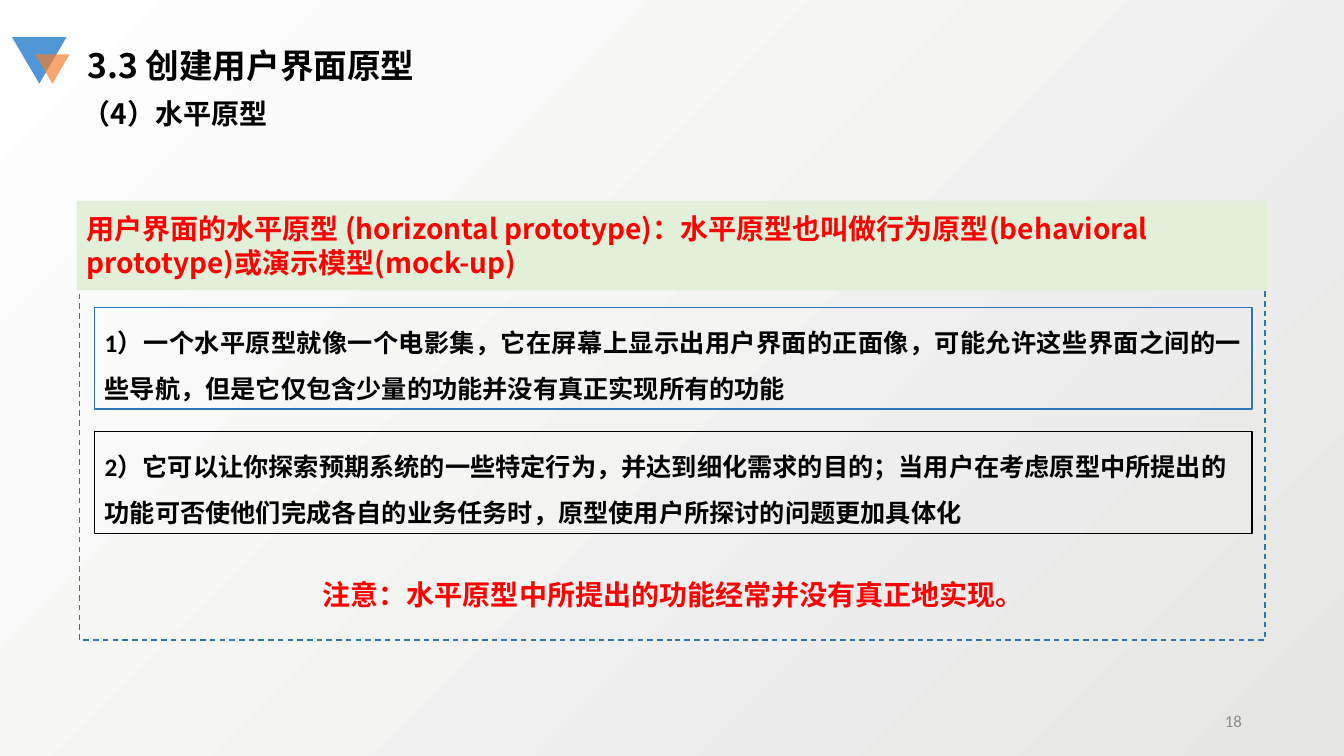
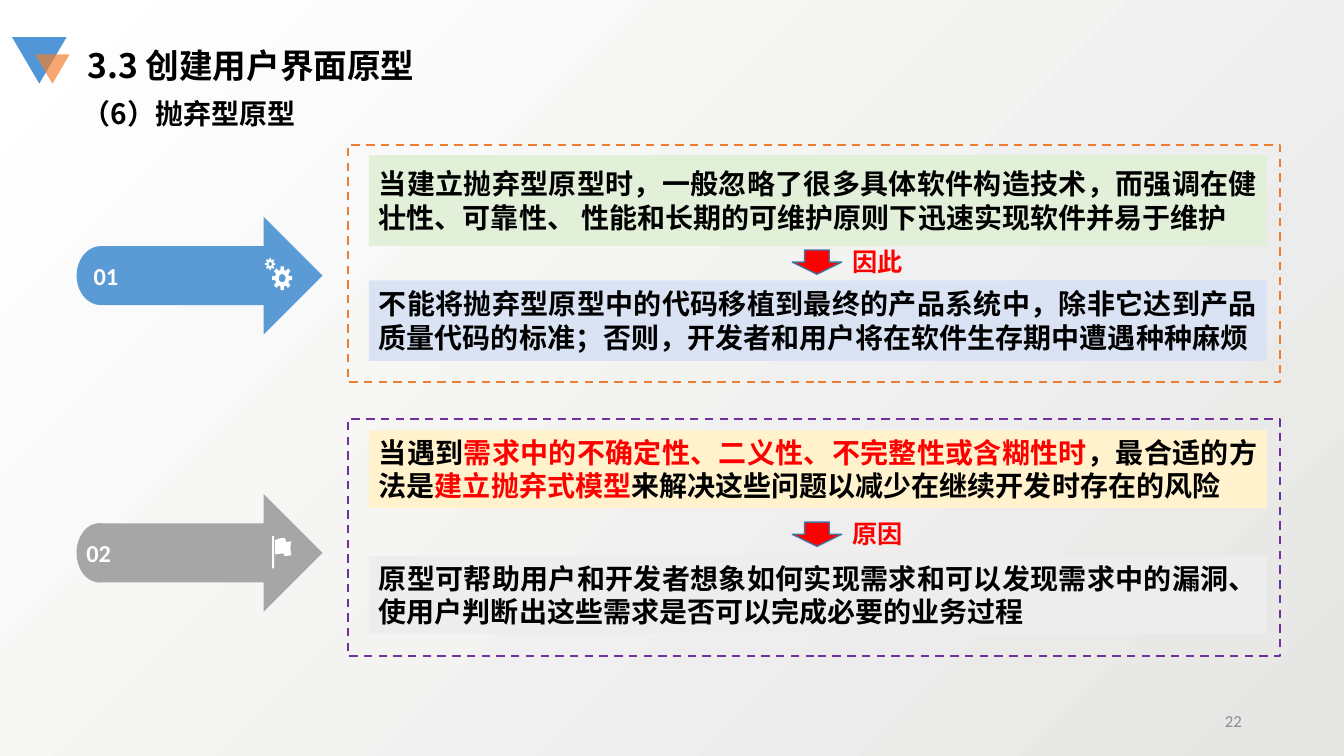
import math

from lxml import etree
from pptx import Presentation
from pptx.dml.color import RGBColor
from pptx.enum import dml, shapes, text
from pptx.oxml.ns import qn
from pptx.util import Pt

# Shared colours and fonts
BLACK = RGBColor(0x00, 0x00, 0x00)
WHITE = RGBColor(0xFF, 0xFF, 0xFF)
RED = RGBColor(0xFF, 0x00, 0x00)
BACK_DARK = RGBColor(0xE6, 0xE6, 0xE5)
MARK_BLUE = RGBColor(0x51, 0x97, 0xD7)
MARK_ORANGE = RGBColor(0xF3, 0x7D, 0x2A)
PAGE_GREY = RGBColor(0x8C, 0x8C, 0x8C)
LINE_BLUE = RGBColor(0x2E, 0x75, 0xB6)
EDGE_BLUE = RGBColor(0x43, 0x73, 0x9E)
ARROW_BLUE = RGBColor(0x5B, 0x9B, 0xD5)
ARROW_GREY = RGBColor(0xA6, 0xA6, 0xA6)
GREEN = RGBColor(0xE2, 0xF0, 0xD9)
PALE_BLUE = RGBColor(0xDA, 0xE3, 0xF3)
CREAM = RGBColor(0xFF, 0xF2, 0xCC)
PALE_GREY = RGBColor(0xED, 0xED, 0xED)
ORANGE = RGBColor(0xED, 0x7D, 0x31)
PURPLE = RGBColor(0x70, 0x30, 0xA0)
LATIN, CJK = "Calibri", "Noto Sans CJK SC"

SHAPE = shapes.MSO_SHAPE
LEFT, CENTER = text.PP_ALIGN.LEFT, text.PP_ALIGN.CENTER
RIGHT, JUSTIFY = text.PP_ALIGN.RIGHT, text.PP_ALIGN.JUSTIFY
TOP, MIDDLE = text.MSO_ANCHOR.TOP, text.MSO_ANCHOR.MIDDLE

# Content: horizontal prototype
TITLE = "3.3 创建用户界面原型"
DEFINITION = ("用户界面的水平原型 (horizontal prototype)：水平原型也叫做行为原型"
              "(behavioral prototype)或演示模型(mock-up)")
POINTS = [
    ("1）一个水平原型就像一个电影集，它在屏幕上显示出用户界面的正面像，可能允许这些界面"
     "之间的一些导航，但是它仅包含少量的功能并没有真正实现所有的功能", LINE_BLUE, JUSTIFY),
    ("2）它可以让你探索预期系统的一些特定行为，并达到细化需求的目的；当用户在考虑原型中所"
     "提出的功能可否使他们完成各自的业务任务时，原型使用户所探讨的问题更加具体化", BLACK, LEFT),
]
NOTE = "注意：水平原型中所提出的功能经常并没有真正地实现。"

# Content: throwaway prototype; each text box is (top, height, fill, anchor, runs)
PANELS = [
    dict(number="01", color=ARROW_BLUE, arrow=(73.4, 154.8), cap=34.6, align=LEFT,
         frame_top=103.7, frame=ORANGE, link="因此", link_top=178.6, boxes=[
             (110.9, 64.8, GREEN, MIDDLE,
              [("当建立抛弃型原型时，一般忽略了很多具体软件构造技术，而强调在健壮性、可靠性、 "
                "性能和长期的可维护原则下迅速实现软件并易于维护", BLACK)]),
             (200.2, 57.6, PALE_BLUE, MIDDLE,
              [("不能将抛弃型原型中的代码移植到最终的产品系统中，除非它达到产品质量代码的标准；"
                "否则，开发者和用户将在软件生存期中遭遇种种麻烦", BLACK)])]),
    dict(number="02", color=ARROW_GREY, arrow=(69.1, 352.8), cap=31.7, align=CENTER,
         frame_top=299.5, frame=PURPLE, link="原因", link_top=373, boxes=[
             (307.4, 55.4, CREAM, TOP,
              [("当遇到", BLACK), ("需求中的不确定性、二义性、不完整性或含糊性时", RED),
               ("，最合适的方法是", BLACK), ("建立抛弃式模型", RED),
               ("来解决这些问题以减少在继续开发时存在的风险", BLACK)]),
             (397.4, 55.4, PALE_GREY, TOP,
              [("原型可帮助用户和开发者想象如何实现需求和可以发现需求中的漏洞、"
                "使用户判断出这些需求是否可以完成必要的业务过程", BLACK)])]),
]
GEARS = [(193, 188.6, 3.6, 4.3), (201.6, 198.7, 7.2, 8.6)]  # centre, radii
FLAG = [(196.6, 385.9), (200, 384.5), (203.5, 384.3), (204.5, 387.2), (208.1, 386.6),
        (207.4, 391.7), (208.1, 396.7), (203.2, 397.2), (202.5, 395.3), (196.6, 396)]


def paint(sp, fill=None, line=None, width=1, dash=False):
    sp.shadow.inherit = False
    if fill is None:
        sp.fill.background()
    else:
        sp.fill.solid()
        sp.fill.fore_color.rgb = fill
    if line is None:
        sp.line.fill.background()
    else:
        sp.line.color.rgb = line
        sp.line.width = Pt(width)
        if dash:
            sp.line.dash_style = dml.MSO_LINE.DASH
    return sp


def draw(s, kind, at, *style, **styles):
    return paint(s.shapes.add_shape(kind, *map(Pt, at)), *style, **styles)


def write(sp, runs, size, color=BLACK, font=LATIN, bold=True, align=LEFT,
          anchor=TOP, spacing=None, wrap=True):
    tf = sp.text_frame
    tf.word_wrap = wrap
    tf.vertical_anchor = anchor
    p = tf.paragraphs[0]
    p.alignment = align
    if spacing:
        p.line_spacing = spacing
    f = p.font
    f.size, f.bold, f.name = Pt(size), bold, font
    f.color.rgb = color
    etree.SubElement(f._rPr, qn("a:ea")).set("typeface", CJK)
    for words, tint in ([(runs, color)] if isinstance(runs, str) else runs):
        r = p.add_run()
        r.text = words
        if tint != color:
            r.font.color.rgb = tint


def label(s, at, words, size, **style):
    write(s.shapes.add_textbox(*map(Pt, at)), words, size, **style)


def outline(s, contours, fill):
    first, *rest = [[(Pt(x), Pt(y)) for x, y in c] for c in contours]
    fb = s.shapes.build_freeform(*first[0])
    fb.add_line_segments(first[1:], close=True)
    for c in rest:
        fb.move_to(*c[0])
        fb.add_line_segments(c[1:], close=True)
    paint(fb.convert_to_shape(), fill)


def gear(s, cx, cy, rx, ry):
    def at(degrees, k):
        a = math.radians(degrees)
        return cx + rx * k * math.cos(a), cy + ry * k * math.sin(a)

    teeth = [at(45 * i + turn, k) for i in range(8)
             for turn, k in ((-15, 0.7), (-9, 1), (9, 1), (15, 0.7))]
    hole = [at(-15 * i, 0.34) for i in range(24)]
    outline(s, [teeth, hole], WHITE)


def new_slide(prs, subtitle, number):
    s = prs.slides.add_slide(prs.slide_layouts[6])
    # Background gradient
    bg = s.background.fill
    bg.gradient()
    bg.gradient_angle = 135
    for stop, color, pos in zip(bg.gradient_stops, (BACK_DARK, WHITE), (0, 1)):
        stop.color.rgb = color
        stop.position = pos
    # Corner triangles
    for at, color in (((8.6, 26.6, 38.9, 33.1), MARK_BLUE),
                      ((25.2, 38.9, 24.5, 20.9), MARK_ORANGE)):
        sp = draw(s, SHAPE.ISOSCELES_TRIANGLE, at, color)
        sp.rotation = 180
    rgb = sp.fill._xPr.find(qn("a:solidFill"))[0]
    etree.SubElement(rgb, qn("a:alpha")).set("val", "68000")
    # Titles and page number
    label(s, (55.4, 28.8, 400, 36), TITLE, 24, font=CJK)
    label(s, (51.8, 65.5, 611.3, 31.7), subtitle, 20, font=CJK)
    label(s, (678.2, 500.4, 216, 28.8), number, 12, color=PAGE_GREY, bold=False,
          align=RIGHT, anchor=MIDDLE)
    return s


def horizontal_slide(prs):
    s = new_slide(prs, "（4）水平原型", "18")
    draw(s, SHAPE.RECTANGLE, (56.9, 144.7, 846.7, 312.5), line=LINE_BLUE, dash=True)
    sp = draw(s, SHAPE.RECTANGLE, (54.7, 143.3, 850.3, 64.1), GREEN)
    write(sp, DEFINITION, 20, color=RED, font=CJK, anchor=MIDDLE)
    for i, (words, line, align) in enumerate(POINTS):
        sp = draw(s, SHAPE.RECTANGLE, (67.7, 219.6 + 88.6 * i, 826.6, 72.7), line=line)
        write(sp, words, 18, align=align, spacing=1.5)
    label(s, (67.7, 396.7, 826.6, 43.2), NOTE, 20, color=RED, align=CENTER, spacing=1.5)


def throwaway_slide(prs):
    s = new_slide(prs, "（6）抛弃型原型", "22")
    for d in PANELS:
        # Numbered arrow with a rounded end
        x, y = d["arrow"]
        draw(s, SHAPE.RIGHT_ARROW, (x, y, 230.4 - x, 84.2), d["color"])
        sp = draw(s, SHAPE.OVAL, (54.7, y + 21, d["cap"], 42.1), d["color"])
        write(sp, d["number"], 17.4, color=WHITE, align=d["align"], anchor=MIDDLE, wrap=False)
        # Text boxes
        for top, height, fill, anchor, runs in d["boxes"]:
            sp = draw(s, SHAPE.RECTANGLE, (263.5, top, 641.5, height), fill)
            write(sp, runs, 20, align=JUSTIFY, anchor=anchor)
        # Link between the boxes, then the dashed frame
        top = d["link_top"]
        draw(s, SHAPE.DOWN_ARROW, (565.9, top, 35.3, 17.3), RED, EDGE_BLUE)
        label(s, (601.9, top - 6.5, 50.4, 28.8), d["link"], 18, color=RED, wrap=False)
        draw(s, SHAPE.RECTANGLE, (248.4, d["frame_top"], 666, 169.2),
             line=d["frame"], width=1.5, dash=True)
    # Arrow icons
    for g in GEARS:
        gear(s, *g)
    outline(s, [FLAG], WHITE)
    draw(s, SHAPE.RECTANGLE, (194.4, 383, 1.5, 23), WHITE)


def main():
    prs = Presentation()
    prs.slide_width, prs.slide_height = Pt(960), Pt(540)
    horizontal_slide(prs)
    throwaway_slide(prs)
    prs.save("out.pptx")


if __name__ == "__main__":
    main()
